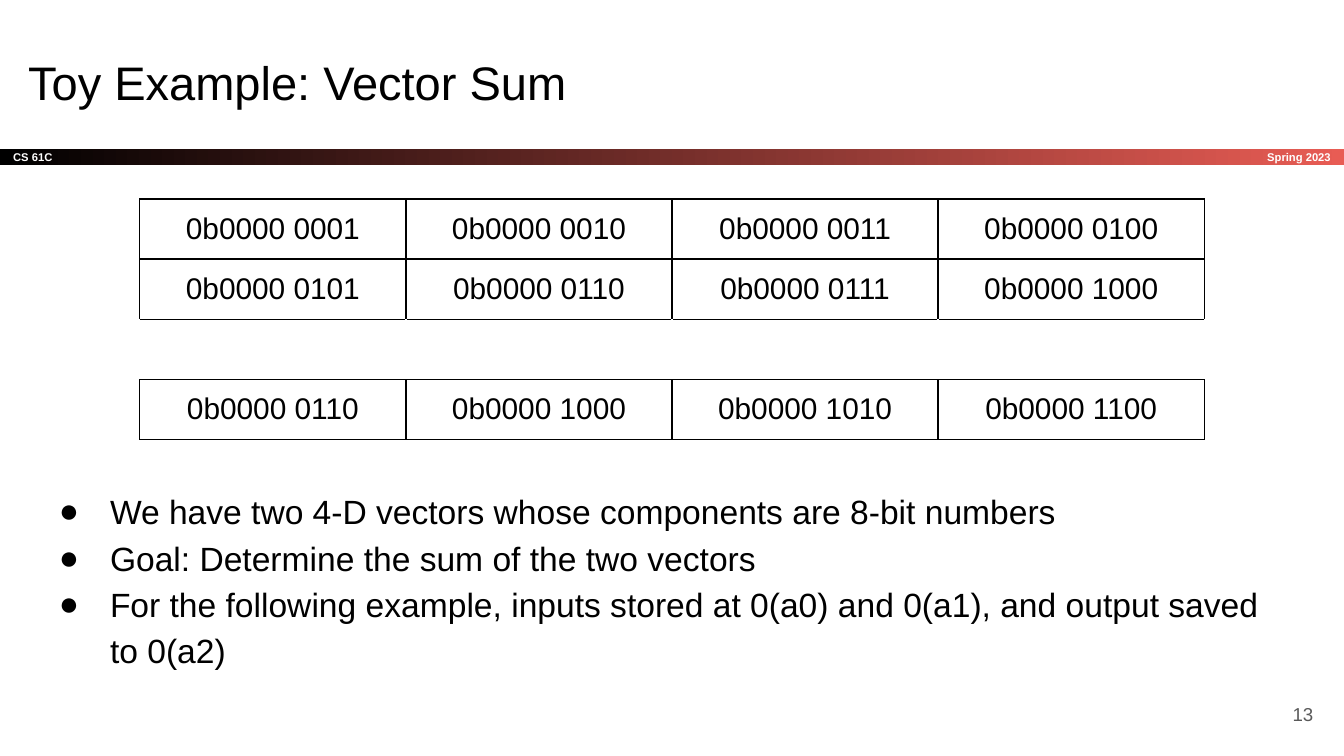
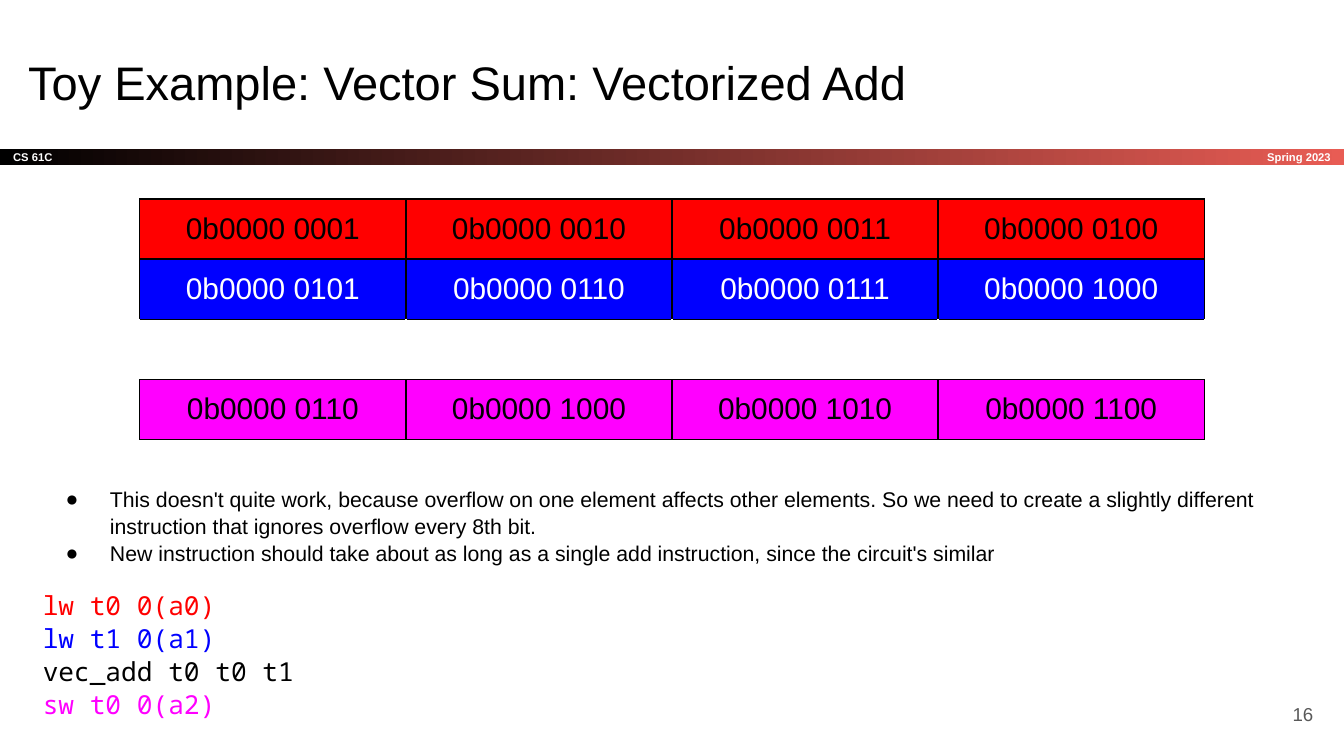
"""Builds two lecture slides on summing vectors."""
import pptx
import pptx.dml.color
import pptx.enum.shapes
import pptx.enum.text
import pptx.oxml
import pptx.oxml.ns
import pptx.util

Inches = pptx.util.Inches
Pt = pptx.util.Pt
RGBColor = pptx.dml.color.RGBColor
PP_ALIGN = pptx.enum.text.PP_ALIGN
MSO_ANCHOR = pptx.enum.text.MSO_ANCHOR

BLACK = RGBColor(0x00, 0x00, 0x00)
WHITE = RGBColor(0xFF, 0xFF, 0xFF)
GRAY = RGBColor(0x59, 0x59, 0x59)
CORAL = RGBColor(0xE8, 0x5C, 0x54)
RED = RGBColor(0xFF, 0x00, 0x00)
BLUE = RGBColor(0x00, 0x00, 0xFF)
MAGENTA = RGBColor(0xFF, 0x00, 0xFF)

VECTORS = [
    ["0b0000 0001", "0b0000 0010", "0b0000 0011", "0b0000 0100"],
    ["0b0000 0101", "0b0000 0110", "0b0000 0111", "0b0000 1000"],
    [],
    ["0b0000 0110", "0b0000 1000", "0b0000 1010", "0b0000 1100"],
]
BAND = (0, 1.11, 10, 0.12)


class Deck:
    font = "Arial"
    code_font = "Noto Sans Mono"
    inset = Inches(0.1)

    def __init__(self):
        self.prs = pptx.Presentation()
        self.prs.slide_width = Inches(10)
        self.prs.slide_height = Inches(10) * 9 // 16
        self.slide = None

    def style(self, p, size, color=BLACK, bold=False, align=PP_ALIGN.LEFT, font=font):
        p.alignment = align
        p.font.name = font
        p.font.size = Pt(size)
        p.font.bold = bold
        p.font.color.rgb = color

    def frame(self, sp, anchor=MSO_ANCHOR.TOP):
        tf = sp.text_frame
        tf.word_wrap = True
        tf.auto_size = pptx.enum.text.MSO_AUTO_SIZE.NONE
        tf.vertical_anchor = anchor
        tf.margin_left = tf.margin_right = self.inset
        tf.margin_top = tf.margin_bottom = self.inset
        return tf

    def textbox(self, box, anchor=MSO_ANCHOR.TOP):
        return self.frame(self.slide.shapes.add_textbox(*map(Inches, box)), anchor)

    def label(self, tf, text, size, color, **style):
        p = tf.paragraphs[0]
        p.text = text
        self.style(p, size, color, **style)

    def new_slide(self, title, number):
        self.slide = self.prs.slides.add_slide(self.prs.slide_layouts[5])
        self.band()
        self.title(title)
        tf = self.textbox((9.27, 5.1, 0.6, 0.43), MSO_ANCHOR.MIDDLE)
        self.label(tf, str(number), 10, GRAY, align=PP_ALIGN.RIGHT)

    def title(self, text):
        sp = self.slide.shapes.title
        sp.left, sp.top, sp.width, sp.height = map(Inches, (0.11, 0.3, 9.32, 0.63))
        self.label(self.frame(sp), text, 25.2, BLACK)

    def band(self):
        rect = pptx.enum.shapes.MSO_SHAPE.RECTANGLE
        sp = self.slide.shapes.add_shape(rect, *map(Inches, BAND))
        sp.shadow.inherit = False
        sp.line.fill.background()
        sp.fill.gradient()
        sp.fill.gradient_angle = 0
        for stop, color in zip(sp.fill.gradient_stops, (BLACK, CORAL)):
            stop.color.rgb = color
        self.label(self.frame(sp, MSO_ANCHOR.MIDDLE), "CS 61C", 6, WHITE, bold=True)
        tf = self.textbox((8.34, 1.11, 1.66, 0.12), MSO_ANCHOR.MIDDLE)
        self.label(tf, "Spring 2023", 6, WHITE, bold=True, align=PP_ALIGN.RIGHT)

    def borders(self, cell, side_color):
        tc_pr = cell._tc.get_or_add_tcPr()
        sides = {"L": side_color, "R": side_color, "T": BLACK, "B": BLACK}
        for side, color in sides.items():
            tc_pr.append(pptx.oxml.parse_xml(
                f'<a:ln{side} {pptx.oxml.ns.nsdecls("a")} w="{Pt(0.75)}"><a:solidFill>'
                f'<a:srgbClr val="{color}"/></a:solidFill></a:ln{side}>'))

    def vector_table(self, fills=(None,) * 4):
        box = map(Inches, (1.04, 1.48, 7.92, 1.87))
        sp = self.slide.shapes.add_table(len(VECTORS), len(VECTORS[0]), *box)
        table = sp.table
        table.first_row = table.horz_banding = False
        for row, vector, fill in zip(table.rows, VECTORS, fills):
            row.height = Inches(0.42 if vector else 0.45)
            for i, cell in enumerate(row.cells):
                self.borders(cell, BLACK if vector else WHITE)
                if fill is None:
                    cell.fill.background()
                else:
                    cell.fill.solid()
                    cell.fill.fore_color.rgb = fill
                if vector:
                    cell.margin_left = cell.margin_right = self.inset
                    cell.margin_top = cell.margin_bottom = self.inset
                    self.label(cell.text_frame, vector[i], 16,
                               WHITE if fill == BLUE else BLACK, align=PP_ALIGN.CENTER)
        sp.height = Inches(1.87)

    def bullets(self, items, width, size, spacing, hanging):
        tf = self.textbox((0.22, 3.51, width, 1.97))
        for i, item in enumerate(items):
            p = tf.add_paragraph() if i else tf.paragraphs[0]
            p.text = item
            p_pr = p._p.get_or_add_pPr()
            p_pr.set("marL", str(Inches(0.5)))
            p_pr.set("indent", str(-Inches(hanging)))
            for xml in (f'buClr {{}}><a:srgbClr val="{BLACK}"/></a:buClr>',
                        f'buFont {{}} typeface="{self.font}"/>',
                        'buChar {} char="●"/>'):
                p_pr.append(pptx.oxml.parse_xml(
                    "<a:" + xml.format(pptx.oxml.ns.nsdecls("a"))))
            p.line_spacing = spacing
            self.style(p, size)
        return tf

    def code(self, tf, lines, spacing):
        p = tf.add_paragraph()
        p.line_spacing = spacing
        p.space_before = p.space_after = Pt(12)
        self.style(p, 14, font=self.code_font)
        for i, (text, color) in enumerate(lines):
            if i:
                p.add_line_break()
            r = p.add_run()
            r.text = text
            r.font.color.rgb = color


def main():
    deck = Deck()

    deck.new_slide("Toy Example: Vector Sum", 13)
    deck.bullets([
        "We have two 4-D vectors whose components are 8-bit numbers",
        "Goal: Determine the sum of the two vectors",
        "For the following example, inputs stored at 0(a0) and 0(a1), "
        "and output saved to 0(a2)",
    ], width=9.32, size=18, spacing=1.15, hanging=0.38)
    deck.vector_table()

    deck.new_slide("Toy Example: Vector Sum: Vectorized Add", 16)
    tf = deck.bullets([
        "This doesn't quite work, because overflow on one element affects other "
        "elements. So we need to create a slightly different instruction that "
        "ignores overflow every 8th bit.",
        "New instruction should take about as long as a single add instruction, "
        "since the circuit's similar",
    ], width=9.57, size=11.4, spacing=1.05, hanging=0.33)
    deck.code(tf, [
        ("lw t0 0(a0)", RED),
        ("lw t1 0(a1)", BLUE),
        ("vec_add t0 t0 t1", BLACK),
        ("sw t0 0(a2)", MAGENTA),
    ], spacing=1.05)
    deck.vector_table((RED, BLUE, None, MAGENTA))

    deck.prs.save("out.pptx")


if __name__ == "__main__":
    main()
